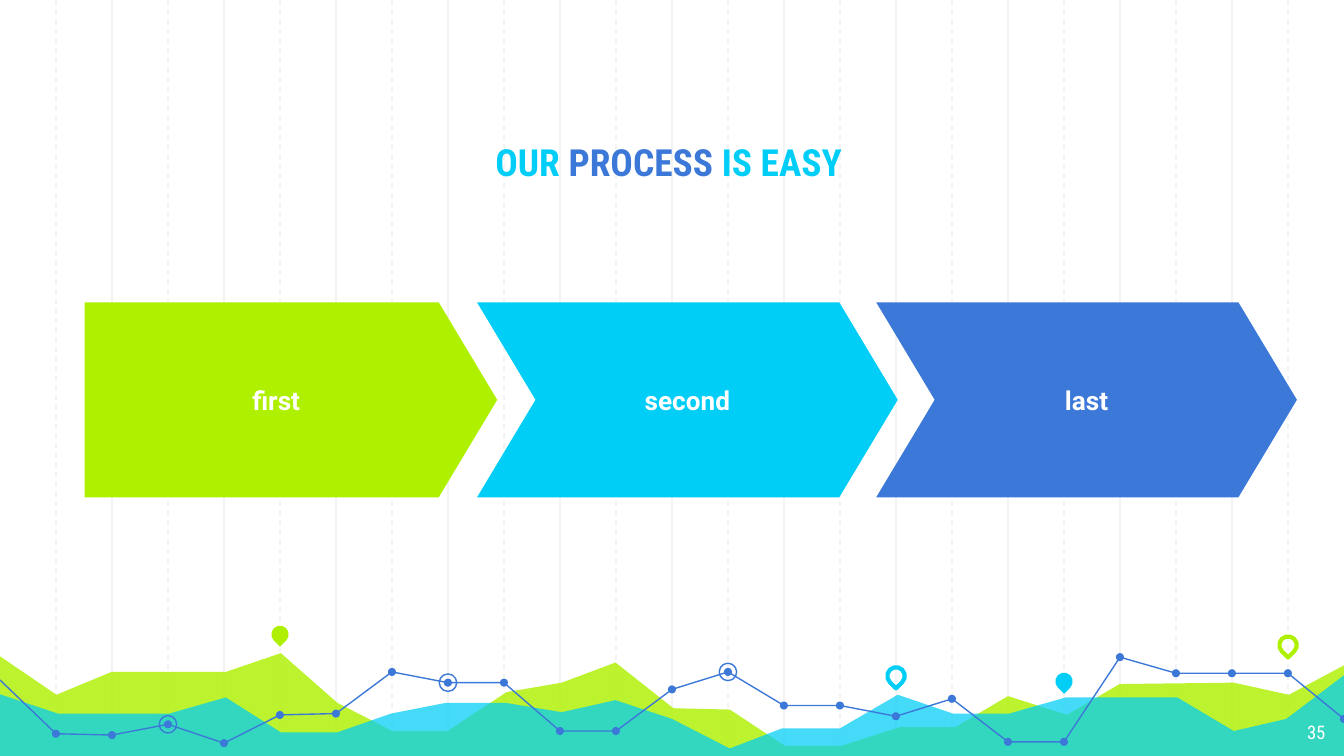
from dataclasses import dataclass

import pptx
import pptx.dml.color
import pptx.enum.dml
import pptx.enum.shapes
import pptx.enum.text
import pptx.oxml
import pptx.oxml.ns
import pptx.util
from pptx.util import Inches

SHAPE = pptx.enum.shapes.MSO_SHAPE
ALIGN = pptx.enum.text.PP_ALIGN
ANCHOR = pptx.enum.text.MSO_ANCHOR


@dataclass(frozen=True)
class Theme:
    green: str = "AFF000"
    cyan: str = "00CEF6"
    blue: str = "3C78D8"
    grid: str = "F3F3F3"
    white: str = "FFFFFF"
    heading_font: str = "Roboto Condensed"
    body_font: str = "Roboto"
    title_size: float = 20
    step_size: float = 14
    number_size: float = 10
    thin: float = 0.75
    thick: float = 2.25


THEME = Theme()
WIDTH = 10
HEIGHT = WIDTH * 9 / 16
STEP = WIDTH / 24

GREEN_HILLS = [
    (-0.02, 4.87), (0.42, 5.17), (0.83, 5), (1.68, 5), (2.09, 4.86), (2.51, 5.23),
    (2.92, 5.44), (3.33, 5.44), (3.77, 5.15), (4.18, 5.08), (4.58, 4.93), (5.01, 5.27),
    (5.43, 5.28), (5.84, 5.55), (6.26, 5.55), (6.7, 5.41), (7.11, 5.41), (7.5, 5.18),
    (7.94, 5.32), (8.33, 5.09), (9.18, 5.08), (9.59, 5.17), (10.02, 4.94),
    (10.01, 5.64), (-0.03, 5.64),
]
CYAN_HILLS = [
    (-0.02, 5.16), (0.43, 5.31), (1.26, 5.31), (1.68, 5.19), (2.09, 5.45), (2.51, 5.45),
    (2.91, 5.31), (3.32, 5.23), (3.76, 5.23), (4.18, 5.3), (4.58, 5.21), (5, 5.35),
    (5.43, 5.57), (5.82, 5.42), (6.25, 5.42), (6.68, 5.17), (7.09, 5.31), (7.51, 5.31),
    (7.93, 5.19), (8.76, 5.19), (9.18, 5.44), (9.57, 5.35), (10.02, 5.01),
    (10.02, 5.65), (-0.03, 5.65),
]
TREND_HEIGHTS = [
    5.06, 5.46, 5.47, 5.39, 5.53, 5.32, 5.31, 5, 5.08, 5.08, 5.44, 5.44, 5.13,
    5, 5.25, 5.25, 5.33, 5.2, 5.52, 5.52, 4.89, 5.01, 5.01, 5.01, 5.35,
]


def rgb(color):
    return pptx.dml.color.RGBColor.from_string(color)


def paint(sp, fill=None, line=None, width=THEME.thin):
    sp.shadow.inherit = False
    if fill:
        sp.fill.solid()
        sp.fill.fore_color.rgb = rgb(fill)
    else:
        sp.fill.background()
    if line:
        sp.line.color.rgb = rgb(line)
        sp.line.width = pptx.util.Pt(width)
    else:
        sp.line.fill.background()


def set_alpha(sp, percent):
    color = sp.fill._xPr.find(".//" + pptx.oxml.ns.qn("a:srgbClr"))
    ns = pptx.oxml.ns.nsdecls("a")
    color.append(pptx.oxml.parse_xml(f'<a:alpha {ns} val="{percent * 1000}"/>'))


def add_grid_line(s, x, dashed):
    line = s.shapes.add_connector(
        pptx.enum.shapes.MSO_CONNECTOR.STRAIGHT, Inches(x), 0, Inches(x), Inches(5.65))
    line.line.color.rgb = rgb(THEME.grid)
    line.line.width = pptx.util.Pt(THEME.thin)
    if dashed:
        line.line.dash_style = pptx.enum.dml.MSO_LINE.DASH
    ns = pptx.oxml.ns.nsdecls("a")
    line._element.spPr.append(pptx.oxml.parse_xml(f"<a:effectLst {ns}/>"))


def add_path(s, points, close):
    pts = [(Inches(x), Inches(y)) for x, y in points]
    builder = s.shapes.build_freeform(*pts[0])
    builder.add_line_segments(pts[1:], close=close)
    return builder.convert_to_shape()


def add_hills(s, points, color, opacity):
    sp = add_path(s, points, True)
    paint(sp, fill=color)
    set_alpha(sp, opacity)


def add_trend(s):
    points = [(i * STEP, y) for i, y in enumerate(TREND_HEIGHTS)]
    for start, end in ((0, 11), (11, 20), (20, 24)):
        paint(add_path(s, points[start:end + 1], False), line=THEME.blue)
    for x, y in points[1:]:
        add_marker(s, SHAPE.OVAL, x, y, 0.06, fill=THEME.blue)
    for i in (3, 8, 13):
        add_marker(s, SHAPE.OVAL, *points[i], 0.13, line=THEME.blue)


def add_marker(s, kind, x, y, size, **style):
    sp = s.shapes.add_shape(
        kind, Inches(x - size / 2), Inches(y - size / 2), Inches(size), Inches(size))
    paint(sp, **style)
    return sp


def add_pin(s, column, y, **style):
    sp = add_marker(s, SHAPE.TEAR, column * STEP, y, 0.13, width=THEME.thick, **style)
    sp.rotation = 135


def write(sp, runs, font, size, align, anchor, bold=False):
    tf = sp.text_frame
    tf.word_wrap = True
    tf.vertical_anchor = anchor
    tf.margin_left = tf.margin_right = tf.margin_top = tf.margin_bottom = Inches(0.1)
    p = tf.paragraphs[0]
    p.alignment = align
    for text, color in runs:
        r = p.add_run()
        r.text = text
        r.font.name = font
        r.font.size = pptx.util.Pt(size)
        r.font.bold = bold
        r.font.color.rgb = rgb(color)


def add_text(s, box, *args, **kwargs):
    write(s.shapes.add_textbox(*map(Inches, box)), *args, **kwargs)


def add_step(s, kind, x, width, text, color):
    sp = s.shapes.add_shape(kind, Inches(x), Inches(2.25), Inches(width), Inches(1.45))
    sp.adjustments[0] = 0.3
    paint(sp, fill=color)
    write(sp, [(text, THEME.white)], THEME.body_font, THEME.step_size,
          ALIGN.CENTER, ANCHOR.MIDDLE, bold=True)


def main():
    prs = pptx.Presentation()
    prs.slide_width, prs.slide_height = Inches(WIDTH), Inches(HEIGHT)
    s = prs.slides.add_slide(prs.slide_layouts[6])

    for i in range(1, 24):
        add_grid_line(s, i * STEP, dashed=i % 2 == 1)
    add_hills(s, GREEN_HILLS, THEME.green, 82)
    add_hills(s, CYAN_HILLS, THEME.cyan, 73)
    add_pin(s, 5, 4.72, fill=THEME.green)
    add_pin(s, 16, 5.03, line=THEME.cyan)
    add_pin(s, 19, 5.07, fill=THEME.cyan)
    add_pin(s, 23, 4.8, line=THEME.green)
    add_trend(s)

    add_text(s, (1.15, 0.69, 7.65, 0.78),
             [("OUR ", THEME.cyan), ("PROCESS", THEME.blue), (" IS EASY", THEME.cyan)],
             THEME.heading_font, THEME.title_size, ALIGN.CENTER, ANCHOR.BOTTOM, bold=True)
    add_step(s, SHAPE.PENTAGON, 0.63, 3.07, "first", THEME.green)
    add_step(s, SHAPE.CHEVRON, 3.55, 3.13, "second", THEME.cyan)
    add_step(s, SHAPE.CHEVRON, 6.52, 3.13, "last", THEME.blue)
    add_text(s, (9.36, 5.28, 0.6, 0.35), [("35", THEME.white)],
             THEME.heading_font, THEME.number_size, ALIGN.RIGHT, ANCHOR.TOP)
    prs.save("out.pptx")


if __name__ == "__main__":
    main()
